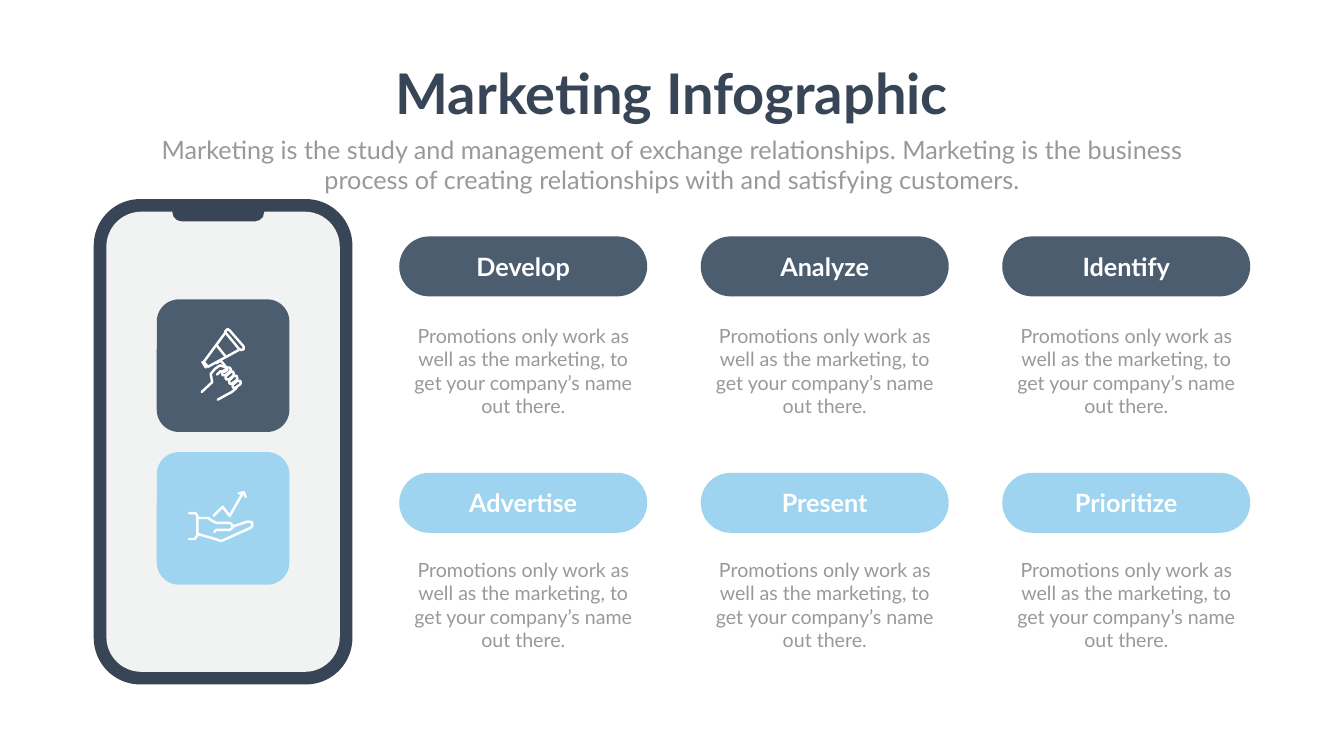
from lxml import etree
from pptx import Presentation
from pptx.dml.color import RGBColor
from pptx.enum.shapes import MSO_SHAPE
from pptx.enum.text import MSO_ANCHOR, PP_ALIGN
from pptx.oxml.ns import qn
from pptx.util import Pt

NAVY, SLATE, SKY = "374556", "4D5D70", "9FD4F1"
GRAY, WHITE, SCREEN, PAGE = "999999", "FFFFFF", "F1F2F2", "FEFFFE"
BODY = "Promotions only work as well as the marketing, to get your company’s name out there."

# Each column holds the title of one pill; each row is
# (pill colour, distance from pill top to body text, titles).
ROWS = [
    (SLATE, 121, ["Develop", "Analyze", "Identify"]),
    (SKY, 117.4, ["Advertise", "Present", "Prioritize"]),
]

# Icon strokes are (points, closed), in points from the tile's top left corner.
FINGER = [(1.5, -5.5), (5, -5.5), (6.2, -2.2), (5, 0),
          (-1.5, 5.5), (-5, 5.5), (-6.2, 2.2), (-5, 0)]
MEGAPHONE = [
    ([(97.9, 45.4), (101.5, 42.8), (104.4, 44.3), (123.8, 67.7), (123.8, 71.3),
      (120.2, 72.7), (117.4, 70.6), (97.9, 47.5)], True),
    ([(97.9, 47.5), (67, 89), (73.4, 95.8), (117.4, 72.5)], False),
    ([(85.7, 66.2), (97.9, 81.4)], False),
    ([(64.8, 89.3), (70.6, 97.2)], False),
    ([(64.1, 132.8), (78.8, 118.1), (77, 106.6), (82.8, 99.4), (90, 94), (100, 97)], False),
    ([(85, 91.4), (90.7, 87.5), (98.6, 95)], False),
    ([(86.4, 106.9), (90.7, 101.9), (97.2, 103), (100.8, 100.1), (99.4, 96.8)], False),
    ([(87.1, 143.6), (93.6, 139), (107.3, 131.8), (113.8, 126.7)], False),
] + [([(99.4 + 4.8 * i + dx, 103 + 6.1 * i + dy) for dx, dy in FINGER], True)
     for i in range(4)]
HAND_WITH_CHART = [
    ([(46.5, 87.5), (54.7, 87.5), (58, 91.5), (57.6, 119.5), (54, 124.2), (46, 124)], False),
    ([(59.8, 93.6), (66.2, 93.6), (73.4, 94.3), (79.2, 97.9), (85, 101.2), (103.7, 101.2),
      (108, 103.7), (108.4, 108), (103.7, 111.2), (85, 110.9), (82, 114.5)], False),
    ([(109.4, 106.6), (130.3, 99), (136, 100), (136.4, 105.8), (133.9, 108.4),
      (92.2, 127.1), (80, 123.5), (61.9, 117.7), (59.8, 117.4)], False),
    ([(81.4, 91), (93.6, 78), (104, 91), (123.1, 58.3)], False),
    ([(117.4, 59.4), (124.6, 56.9), (126.7, 64.1)], False),
]


def rgb(color):
    return RGBColor.from_string(color)


def add_filled(s, kind, x, y, w, h, color, adj):
    sp = s.shapes.add_shape(kind, Pt(x), Pt(y), Pt(w), Pt(h))
    sp.adjustments[0] = adj
    sp.shadow.inherit = False
    sp.fill.solid()
    sp.fill.fore_color.rgb = rgb(color)
    sp.line.fill.background()
    return sp


def write(sp, text, size, color, bold=False, wrap=True, anchor=MSO_ANCHOR.TOP):
    tf = sp.text_frame
    tf.word_wrap = wrap
    tf.vertical_anchor = anchor
    p = tf.paragraphs[0]
    p.alignment = PP_ALIGN.CENTER
    r = p.add_run()
    r.text = text
    r.font.name = "Lato"
    r.font.size = Pt(size)
    r.font.bold = bold
    r.font.color.rgb = rgb(color)


def add_text(s, x, y, w, h, text, **fmt):
    write(s.shapes.add_textbox(Pt(x), Pt(y), Pt(w), Pt(h)), text, **fmt)


def add_icon(s, x, y, strokes):
    """Draw all strokes as one white outline shape."""
    (first, _), scale = strokes[0], Pt(1)
    fb = s.shapes.build_freeform(x + first[0][0], y + first[0][1], scale)
    for i, (points, closed) in enumerate(strokes):
        placed = [(x + px, y + py) for px, py in points]
        if i:
            fb.move_to(*placed[0])
        fb.add_line_segments(placed[1:], close=closed)
    sp = fb.convert_to_shape()
    sp.shadow.inherit = False
    sp.fill.background()
    sp.line.color.rgb = rgb(WHITE)
    sp.line.width = Pt(3.5)
    ln = sp.line._get_or_add_ln()
    ln.set("cap", "rnd")
    etree.SubElement(ln, qn("a:round"))


def add_heading(s, x, y, w):
    add_text(s, x, y, w, 104.4, "Marketing Infographic",
             size=80, color=NAVY, bold=True, wrap=False)
    add_text(s, x, y + 107.3, w, 94.3,
             "Marketing is the study and management of exchange relationships. "
             "Marketing is the business process of creating relationships with "
             "and satisfying customers.", size=36, color=GRAY)


def add_phone(s, x, y, w, h):
    bezel, tile, gap = 18, 189.4, 28.8
    add_filled(s, MSO_SHAPE.ROUNDED_RECTANGLE, x, y, w, h, NAVY, 0.18)
    add_filled(s, MSO_SHAPE.ROUNDED_RECTANGLE, x + bezel, y + bezel,
               w - 2 * bezel, h - 2 * bezel, SCREEN, 0.15)
    notch = add_filled(s, MSO_SHAPE.ROUND_2_SAME_RECTANGLE,
                       x + 112.3, y, 131, 31.7, NAVY, 0.4)
    notch.rotation = 180
    tile_x = x + (w - tile) / 2
    for i, (color, icon) in enumerate([(SLATE, MEGAPHONE), (SKY, HAND_WITH_CHART)]):
        tile_y = y + 143.3 + i * (tile + gap)
        add_filled(s, MSO_SHAPE.ROUNDED_RECTANGLE, tile_x, tile_y, tile, tile, color, 0.167)
        add_icon(s, tile_x, tile_y, icon)


def add_card(s, x, y, w, title, color, body_offset):
    pill = add_filled(s, MSO_SHAPE.ROUNDED_RECTANGLE, x, y, w, 85.7, color, 0.5)
    write(pill, title, size=36, color=WHITE, bold=True, anchor=MSO_ANCHOR.MIDDLE)
    inset = 13.3
    add_text(s, x + inset, y + body_offset, w - 2 * inset, 143.3, BODY, size=28, color=GRAY)


def add_cards(s, x, y, w, row_step):
    card_w = 354.2
    col_step = (w - card_w) / 2
    for i, (color, body_offset, titles) in enumerate(ROWS):
        for j, title in enumerate(titles):
            add_card(s, x + j * col_step, y + i * row_step, card_w,
                     title, color, body_offset)


def main():
    prs = Presentation()
    prs.slide_width, prs.slide_height = Pt(1919.52), Pt(1080)
    s = prs.slides.add_slide(prs.slide_layouts[6])
    s.background.fill.solid()
    s.background.fill.fore_color.rgb = rgb(PAGE)
    add_cards(s, 570.2, 337.7, 1215.4, 337.7)
    add_phone(s, 133.9, 284.4, 369.4, 693.4)
    add_heading(s, 210.2, 80.6, 1499)
    prs.save("out.pptx")


if __name__ == "__main__":
    main()
